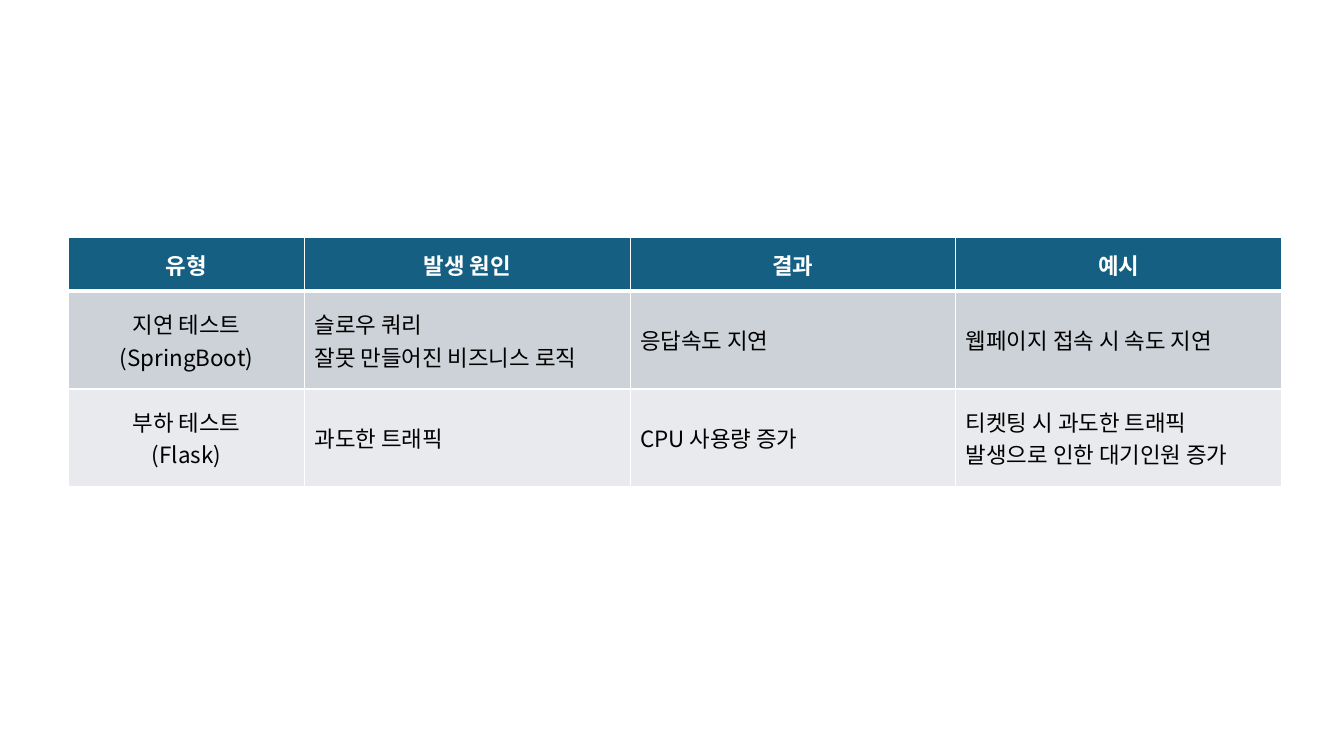
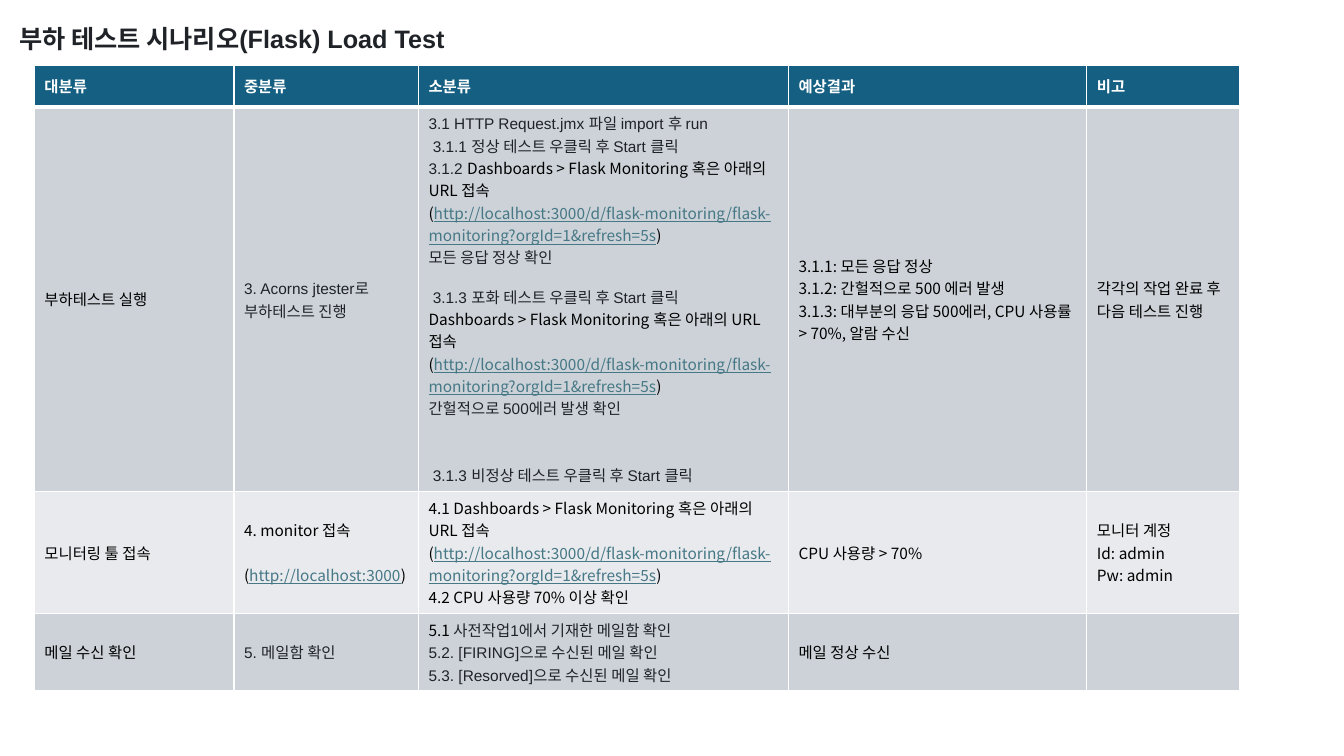
import pptx
import pptx.util
import pptx.dml.color
import pptx.enum.text
import pptx.oxml
import pptx.oxml.ns

PX = 9144
KOREAN = "Noto Sans CJK KR"
COLORS = {
    "header": "156082",
    "odd": "CCD2D8",
    "even": "E8EAED",
    "white": "FFFFFF",
    "black": "000000",
    "ink": "1F2328",
    "link": "467886",
}
STYLES = {
    "header": (KOREAN, "white", True, False),
    "body": (KOREAN, "black", False, False),
    "ink": ("Arial", "ink", False, False),
    "link": (KOREAN, "link", False, True),
    "title": ("Arial", "ink", True, False),
}
LEFT = pptx.enum.text.PP_ALIGN.LEFT
CENTER = pptx.enum.text.PP_ALIGN.CENTER


def px(value):
    return pptx.util.Emu(value * PX)


def rgb(name):
    return pptx.dml.color.RGBColor.from_string(COLORS[name])


def format_run(r, style, size):
    typeface, color, bold, underline = STYLES[style]
    r.font.name = typeface
    r.font.size = pptx.util.Pt(size)
    r.font.bold = bold
    r.font.underline = underline
    r.font.color.rgb = rgb(color)
    ea = pptx.oxml.parse_xml(
        f'<a:ea {pptx.oxml.ns.nsdecls("a")} typeface="{KOREAN}"/>')
    r.font._element.find(pptx.oxml.ns.qn("a:latin")).addnext(ea)


def fill_text(tf, paragraphs, style, size, align):
    for index, runs in enumerate(paragraphs):
        p = tf.add_paragraph() if index else tf.paragraphs[0]
        p.alignment = align
        for text, run_style in [(runs, style)] if isinstance(runs, str) else runs:
            r = p.add_run()
            r.text = text
            format_run(r, run_style, size)


def set_borders(cell, is_header):
    tc_pr = cell._tc.get_or_add_tcPr()
    widths = {"L": 1, "R": 1, "T": 1, "B": 3 if is_header else 1}
    for side, points in widths.items():
        tc_pr.append(pptx.oxml.parse_xml(
            f'<a:ln{side} {pptx.oxml.ns.nsdecls("a")} w="{pptx.util.Pt(points)}">'
            f'<a:solidFill><a:srgbClr val="{COLORS["white"]}"/></a:solidFill>'
            f'</a:ln{side}>'))


def add_grid(s, left, top, widths, heights, rows, size, header_align, first_align):
    table = s.shapes.add_table(
        len(rows), len(widths), px(left), px(top),
        px(sum(widths)), px(sum(heights))).table
    for column, width in zip(table.columns, widths):
        column.width = px(width)
    for i, (cells, height) in enumerate(zip(rows, heights)):
        table.rows[i].height = px(height)
        band = "header" if i == 0 else "odd" if i % 2 else "even"
        for j, paragraphs in enumerate(cells):
            cell = table.cell(i, j)
            if i == 0:
                align = header_align
            else:
                align = first_align if j == 0 else LEFT
            cell.vertical_anchor = pptx.enum.text.MSO_ANCHOR.MIDDLE
            set_borders(cell, i == 0)
            cell.fill.solid()
            cell.fill.fore_color.rgb = rgb(band)
            fill_text(cell.text_frame, paragraphs,
                      "body" if i else "header", size, align)
    return table


def set_title(s, text):
    sp = s.shapes.title
    sp.left, sp.top, sp.width, sp.height = px(9), px(18), px(667), px(40)
    tf = sp.text_frame
    tf.word_wrap = True
    tf.auto_size = pptx.enum.text.MSO_AUTO_SIZE.NONE
    tf.vertical_anchor = pptx.enum.text.MSO_ANCHOR.TOP
    fill_text(tf, [text], "title", 18, LEFT)


def link_line(url, lead="("):
    return [(lead, "body"), (url, "link"), (")", "body")]


def build_types(prs):
    s = prs.slides.add_slide(prs.slide_layouts[6])
    rows = [
        [["유형"], ["발생 원인"], ["결과"], ["예시"]],
        [["지연 테스트", "(SpringBoot)"],
         ["슬로우 쿼리", "잘못 만들어진 비즈니스 로직"],
         ["응답속도 지연"],
         ["웹페이지 접속 시 속도 지연"]],
        [["부하 테스트", "(Flask)"],
         ["과도한 트래픽"],
         ["CPU 사용량 증가"],
         ["티켓팅 시 과도한 트래픽 발생으로 인한 대기인원 증가"]],
    ]
    add_grid(s, 68, 236, [234] + [323] * 3, [53, 97, 97], rows, 16, CENTER, CENTER)


def build_scenario(prs):
    s = prs.slides.add_slide(prs.slide_layouts[5])
    set_title(s, "부하 테스트 시나리오(Flask) Load Test")
    host = "http://localhost:3000"
    dashboard = link_line(
        host + "/d/flask-monitoring/flask-monitoring?orgId=1&refresh=5s")
    visit = "Dashboards > Flask Monitoring 혹은 아래의 URL 접속"
    steps = [
        [("3.1 HTTP Request.jmx 파일 import 후 run", "ink")],
        [(" 3.1.1 정상 테스트 우클릭 후 Start 클릭", "ink")],
        [("3.1.2 ", "ink"), (visit, "body")],
        dashboard,
        [("모든 응답 정상 확인", "ink")],
        [(" 3.1.3 포화 테스트 우클릭 후 Start 클릭", "ink")],
        visit,
        dashboard,
        [("간헐적으로 500에러 발생 확인", "ink")],
        [(" 3.1.3 비정상 테스트 우클릭 후 Start 클릭", "ink")],
    ]
    rows = [
        [["대분류"], ["중분류"], ["소분류"], ["예상결과"], ["비고"]],
        [["부하테스트 실행"],
         [[("3. Acorns jtester로 부하테스트 진행", "ink")]],
         steps,
         ["3.1.1: 모든 응답 정상",
          "3.1.2: 간헐적으로 500 에러 발생",
          "3.1.3: 대부분의 응답 500에러, CPU 사용률 > 70%, 알람 수신"],
         ["각각의 작업 완료 후", "다음 테스트 진행"]],
        [["모니터링 툴 접속"],
         ["4. monitor 접속", link_line(host, " (")],
         ["4.1 " + visit, dashboard, "4.2 CPU 사용량 70% 이상 확인"],
         ["CPU 사용량 > 70%"],
         ["모니터 계정", "Id: admin", "Pw: admin"]],
        [["메일 수신 확인"],
         [[("5. 메일함 확인", "ink")]],
         [[("5.1 ", "body"), ("사전작업1에서 기재한 메일함 확인", "ink")],
          [("5.2. [FIRING]으로 수신된 메일 확인", "ink")],
          [("5.3. [Resorved]으로 수신된 메일 확인", "ink")]],
         ["메일 정상 수신"],
         []],
    ]
    table = add_grid(s, 34, 65, [198, 183, 367, 296, 152], [41, 380, 121, 76],
                     rows, 11, LEFT, LEFT)
    step_paragraphs = table.cell(1, 2).text_frame.paragraphs
    for index, gap in ((5, 12), (9, 32)):
        step_paragraphs[index].space_before = pptx.util.Pt(gap)


def main():
    prs = pptx.Presentation()
    prs.slide_width, prs.slide_height = px(1333), px(750)
    build_types(prs)
    build_scenario(prs)
    prs.save("out.pptx")


if __name__ == "__main__":
    main()
